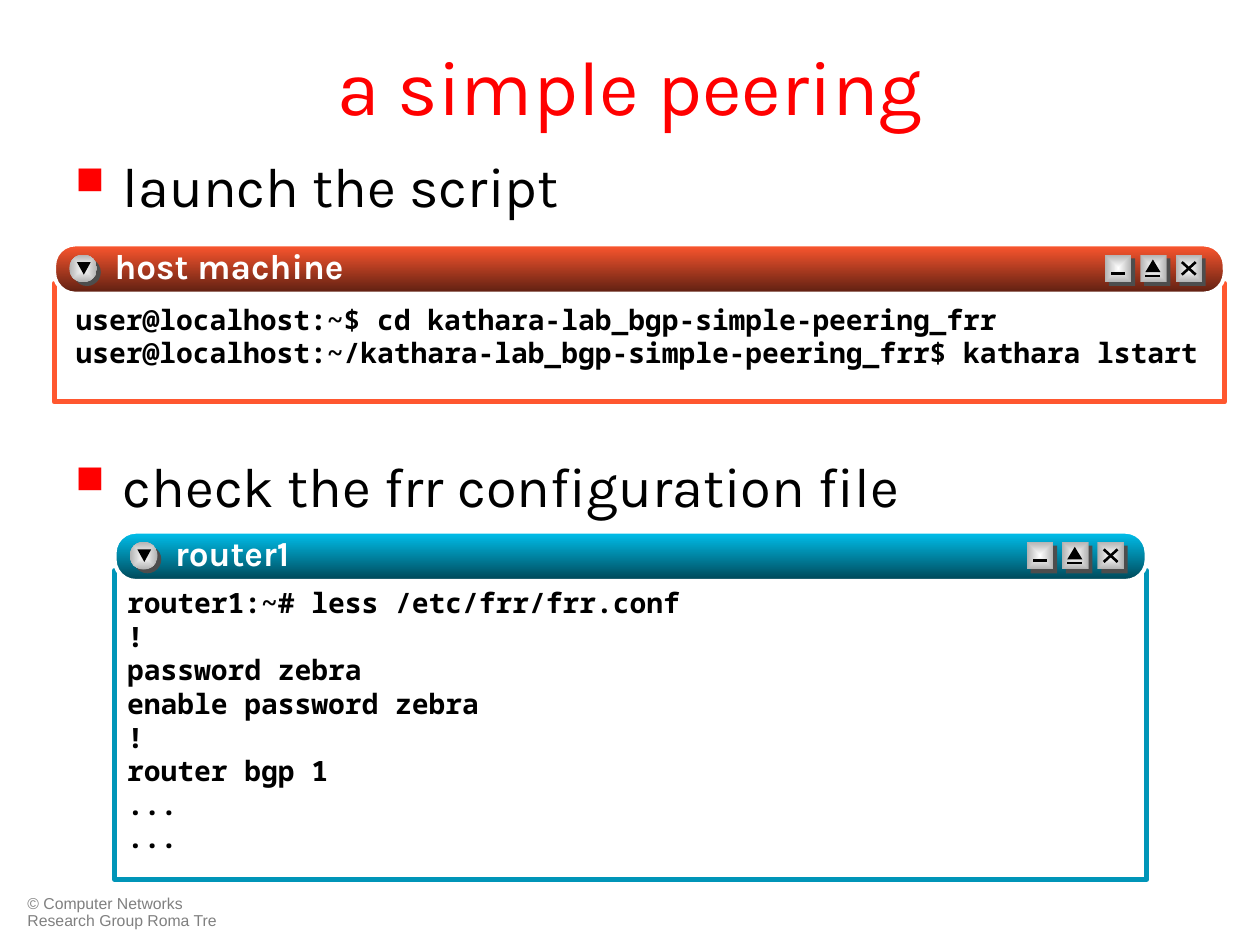
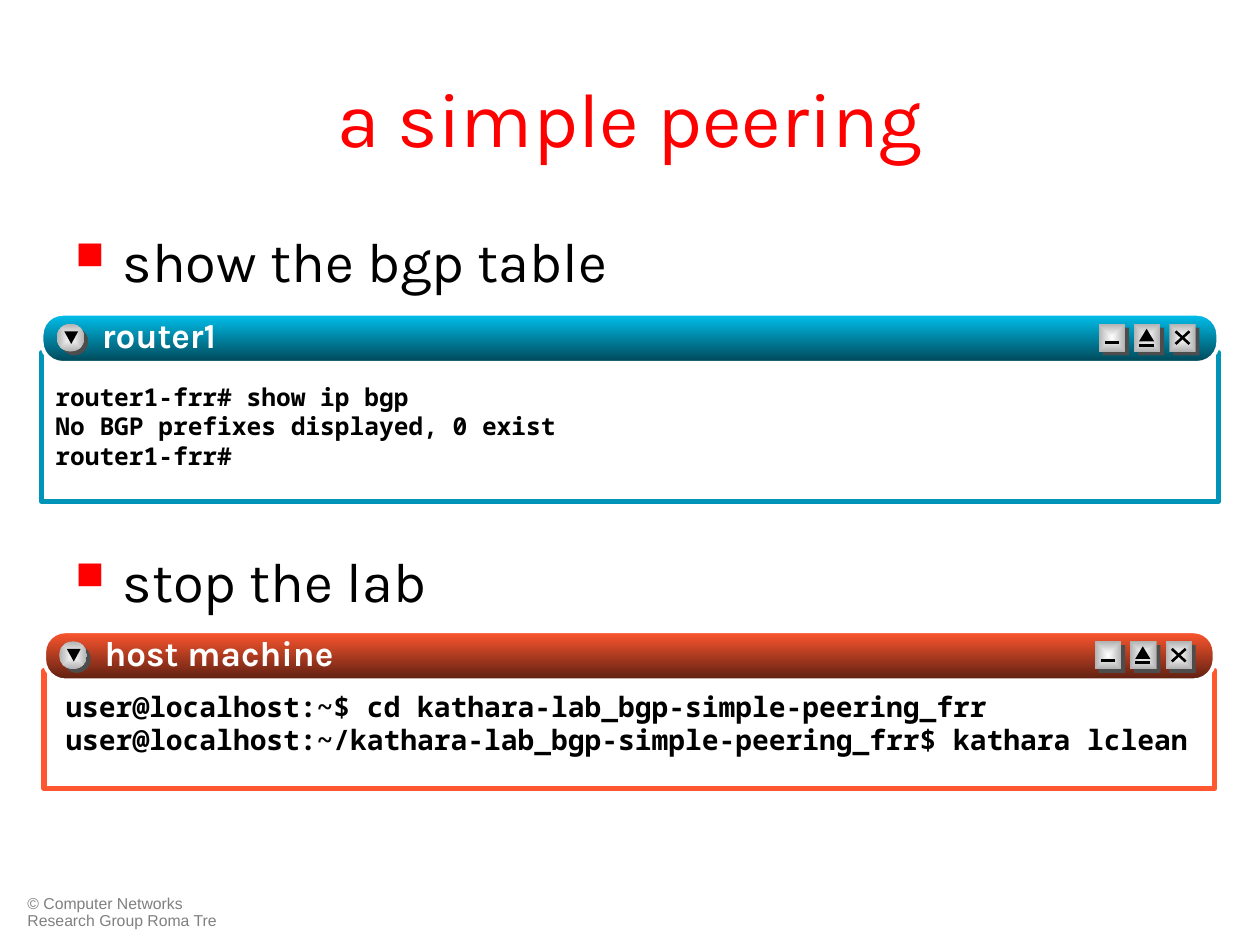
"""Build two slides on a simple BGP peering, with terminal windows."""
from lxml import etree
from pptx import Presentation
from pptx.dml.color import RGBColor
from pptx.enum.shapes import MSO_CONNECTOR, MSO_SHAPE
from pptx.enum.text import MSO_ANCHOR, PP_ALIGN
from pptx.oxml import parse_xml
from pptx.oxml.ns import nsdecls, qn
from pptx.util import Inches, Pt

RECTANGLE = MSO_SHAPE.RECTANGLE
ROUNDED = MSO_SHAPE.ROUNDED_RECTANGLE
OVAL = MSO_SHAPE.OVAL
TRIANGLE = MSO_SHAPE.ISOSCELES_TRIANGLE
STRAIGHT = MSO_CONNECTOR.STRAIGHT
MIDDLE = MSO_ANCHOR.MIDDLE
CENTER = PP_ALIGN.CENTER

WHITE = RGBColor(0xFF, 0xFF, 0xFF)
BLACK = RGBColor(0x00, 0x00, 0x00)
RED = RGBColor(0xFF, 0x00, 0x00)
GREY = RGBColor(0x80, 0x80, 0x80)
BUTTON_GREY = RGBColor(0xB2, 0xB2, 0xB2)
BUTTON_SHADE = RGBColor(0x4D, 0x4D, 0x4D)
ORANGE = RGBColor(0xFF, 0x57, 0x2F)
DARK_ORANGE = RGBColor(0x5C, 0x1F, 0x11)
BLUE = RGBColor(0x00, 0x95, 0xB8)
LIGHT_BLUE = RGBColor(0x00, 0xC1, 0xEE)
DARK_BLUE = RGBColor(0x00, 0x46, 0x56)

HEADING_FONT = "Karla"
CODE_FONT = "Noto Sans Mono"
FOOTER_FONT = "Arial"

COLUMNS, ROWS = 100, 75
CELL = Inches(10) // COLUMNS
BAR_HEIGHT = 3.9
BUTTON_SIZE = 2.1
BUTTON_STEP = 2.8
SHADE_OFFSET = 0.3

HOST = ("host machine", ORANGE, ORANGE, DARK_ORANGE)
ROUTER = ("router1", BLUE, LIGHT_BLUE, DARK_BLUE)
CHANGE_FOLDER = "user@localhost:~$ cd kathara-lab_bgp-simple-peering_frr"
LAB_PROMPT = "user@localhost:~/kathara-lab_bgp-simple-peering_frr$ "

BUTTON_STROKES = [
    [(0.5, 1.5, 1.6, 1.5)],
    [(0.4, 1.7, 1.6, 1.7)],
    [(0.5, 1.6, 1.6, 0.6), (0.5, 0.6, 1.6, 1.6)],
]

SLIDES = [
    {
        "title": (2.1, 9.3),
        "body": (11.5, 30.7),
        "bullets": ["launch the script", "check the frr configuration file"],
        "gap": 133,
        "windows": [
            (HOST, (4.3, 19.4, 92.9), 12.5, (1.7, 4.6), 16,
             [CHANGE_FOLDER, LAB_PROMPT + "kathara lstart"]),
            (ROUTER, (9.1, 42.2, 81.9), 27.6, (1, 4.3), 16,
             ["router1:~# less /etc/frr/frr.conf", "!", "password zebra",
              "enable password zebra", "!", "router bgp 1", "...", "..."]),
        ],
    },
    {
        "title": (3, 12.5),
        "body": (17.5, 36.5),
        "bullets": ["show the bgp table", "stop the lab"],
        "gap": 144.5,
        "windows": [
            (ROUTER, (3.3, 24.9, 93.4), 14.9, (1.1, 5.4), 14,
             ["router1-frr# show ip bgp",
              "No BGP prefixes displayed, 0 exist", "router1-frr#"]),
            (HOST, (3.5, 50.1, 92.9), 12.5, (1.7, 4.6), 16,
             [CHANGE_FOLDER, LAB_PROMPT + "kathara lclean"]),
        ],
    },
]


def add_box(slide, kind, area, colours, border=None, border_width=0):
    """Add a shape with a plain fill or a two-colour gradient."""
    shape = slide.shapes.add_shape(kind, *[round(cells * CELL) for cells in area])
    shape.shadow.inherit = False
    if len(colours) == 1:
        shape.fill.solid()
        shape.fill.fore_color.rgb = colours[0]
    else:
        shape.fill.gradient()
        shape.fill.gradient_angle = 270
        for stop, colour in zip(shape.fill.gradient_stops, colours):
            stop.color.rgb = colour
    if border is None:
        shape.line.fill.background()
    else:
        shape.line.color.rgb = border
        shape.line.width = Pt(border_width)
    return shape


def add_text(slide, area, lines, font, size, colour, bold=False, inset=(0, 0)):
    """Add a text box with one paragraph for each line."""
    box = slide.shapes.add_textbox(*[round(cells * CELL) for cells in area])
    frame = box.text_frame
    frame.word_wrap = True
    frame.margin_left = frame.margin_right = round(inset[0] * CELL)
    frame.margin_top = frame.margin_bottom = round(inset[1] * CELL)
    for index, line in enumerate(lines):
        paragraph = frame.paragraphs[0] if index == 0 else frame.add_paragraph()
        run = paragraph.add_run()
        run.text = line
        run.font.name = font
        run.font.size = Pt(size)
        run.font.bold = bold
        run.font.color.rgb = colour
    return frame


presentation = Presentation()
presentation.slide_width = COLUMNS * CELL
presentation.slide_height = ROWS * CELL
blank = presentation.slide_layouts[6]

for content in SLIDES:
    slide = presentation.slides.add_slide(blank)

    footer = add_text(slide, (1.2, 70.6, 17.3, 3.6),
                      ["© Computer Networks Research Group Roma Tre"],
                      FOOTER_FONT, 9, GREY, inset=(1, 0.5))
    footer.paragraphs[0].line_spacing = 0.9

    title_top, title_height = content["title"]
    title = add_text(slide, (5, title_top, 90, title_height),
                     ["a simple peering"], HEADING_FONT, 44, RED, inset=(1, 0.5))
    title.vertical_anchor = MIDDLE
    title.paragraphs[0].alignment = CENTER

    body_top, body_height = content["body"]
    body = add_text(slide, (5, body_top, 90, body_height), content["bullets"],
                    HEADING_FONT, 32, BLACK, inset=(1, 0.5))
    for paragraph in body.paragraphs:
        properties = paragraph._p.get_or_add_pPr()
        properties.set("marL", str(round(3.75 * CELL)))
        properties.set("indent", str(round(-3.75 * CELL)))
        bullet_colour = etree.SubElement(properties, qn("a:buClr"))
        etree.SubElement(bullet_colour, qn("a:srgbClr"), val=str(RED))
        etree.SubElement(properties, qn("a:buSzPct"), val="70000")
        etree.SubElement(properties, qn("a:buChar"), char="■")
    body.paragraphs[1].space_before = Pt(content["gap"])

    for look, (left, top, width), height, (indent, drop), size, lines in content["windows"]:
        name, edge, light, dark = look
        add_box(slide, RECTANGLE, (left, top + 3.1, width, height - 3.1),
                [WHITE], edge, 3)
        add_text(slide, (left + indent, top + drop, width - indent, height - drop),
                 lines, CODE_FONT, size, BLACK, bold=True)
        bar = add_box(slide, ROUNDED, (left, top, width, BAR_HEIGHT),
                      [light, dark], WHITE, 2.25)
        bar.adjustments[0] = 0.43

        button_top = top + 0.8
        menu_left = left + 1.2
        first_left = left + width - 9.5
        buttons = [(OVAL, menu_left, 2.2)]
        buttons += [(RECTANGLE, first_left + index * BUTTON_STEP, BUTTON_SIZE)
                    for index in range(len(BUTTON_STROKES))]
        for kind, button_left, button_width in buttons:
            add_box(slide, kind, (button_left + SHADE_OFFSET, button_top + SHADE_OFFSET,
                                  button_width, 2.2), [BUTTON_SHADE])
            button = add_box(slide, kind, (button_left, button_top, button_width, 2.2),
                             [WHITE, BUTTON_GREY])
            gradient = button._element.spPr.find(qn("a:gradFill"))
            gradient.replace(gradient.find(qn("a:lin")), parse_xml(
                f'<a:path {nsdecls("a")} path="rect"><a:fillToRect '
                'l="50000" t="50000" r="50000" b="50000"/></a:path>'))

        arrow = add_box(slide, TRIANGLE, (menu_left + 0.6, button_top + 0.6, 1.1, 1),
                        [BLACK])
        arrow.rotation = 180
        add_box(slide, TRIANGLE,
                (first_left + BUTTON_STEP + 0.4, button_top + 0.4, 1.2, 1), [BLACK])
        for index, strokes in enumerate(BUTTON_STROKES):
            stroke_left = first_left + index * BUTTON_STEP
            for start_x, start_y, end_x, end_y in strokes:
                stroke = slide.shapes.add_connector(
                    STRAIGHT,
                    round((stroke_left + start_x) * CELL),
                    round((button_top + start_y) * CELL),
                    round((stroke_left + end_x) * CELL),
                    round((button_top + end_y) * CELL))
                stroke.line.color.rgb = BLACK
                stroke.line.width = Pt(1.5)
                etree.SubElement(stroke._element.spPr, qn("a:effectLst"))

        label = add_text(slide, (left + 4.8, top, width / 2, BAR_HEIGHT), [name],
                         HEADING_FONT, 20, WHITE, bold=True)
        run_properties = label.paragraphs[0].runs[0]._r.get_or_add_rPr()
        run_properties.find(qn("a:solidFill")).addnext(parse_xml(
            f'<a:effectLst {nsdecls("a")}><a:outerShdw blurRad="38100" dist="38100" '
            f'dir="2700000" algn="tl"><a:srgbClr val="{BLACK}"/></a:outerShdw>'
            '</a:effectLst>'))

presentation.save("out.pptx")
